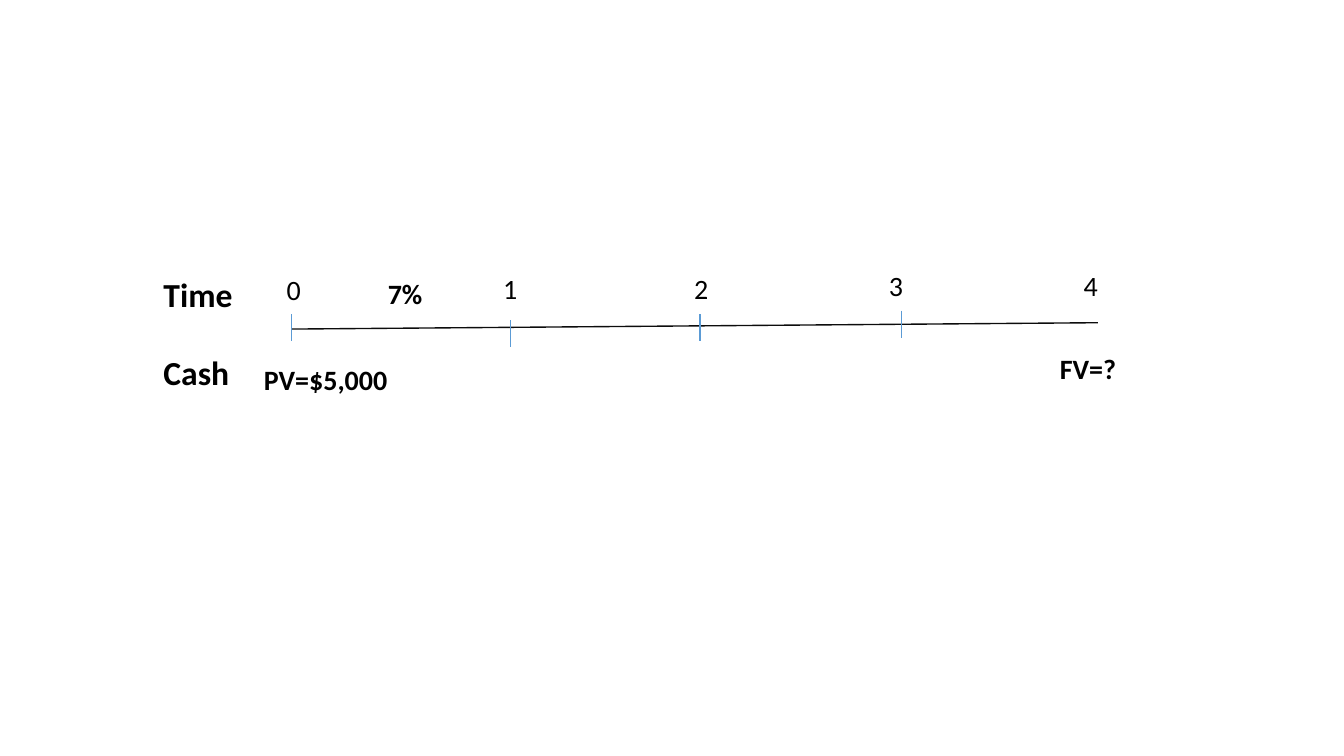
from typing import NamedTuple

from lxml.etree import SubElement
from pptx import Presentation
from pptx.dml.color import RGBColor
from pptx.enum.shapes import MSO_CONNECTOR as Connector
from pptx.enum.text import MSO_AUTO_SIZE as AutoSize
from pptx.oxml.ns import qn
from pptx.slide import Slide
from pptx.util import Cm, Pt

FONT = "Calibri"
BLACK = "000000"
AXIS_COLOR = "0C0C0C"
TICK_COLOR = "5B9BD5"
TICK_LENGTH = 0.51


class Label(NamedTuple):
    text: str
    left: float
    top: float
    width: float
    size: int = 15
    bold: bool = False


class Tick(NamedTuple):
    x: float
    top: float


LABELS = [
    Label("Time", 2.9, 5.08, 3.63, size=18, bold=True),
    Label("Cash", 2.9, 6.55, 3.63, size=18, bold=True),
    Label("0", 5.23, 5.05, 1.04),
    Label("1", 9.32, 5.03, 3.18),
    Label("2", 12.93, 5.03, 3.18),
    Label("3", 16.61, 4.98, 3.18),
    Label("4", 20.29, 4.98, 3.18),
    Label("7%", 7.14, 5.13, 1.3, bold=True),
    Label("PV=$5,000", 4.8, 6.76, 3.63, bold=True),
    Label("FV=?", 19.84, 6.55, 3.63, bold=True),
]

TICKS = [Tick(5.51, 5.94), Tick(9.65, 6.05), Tick(13.23, 5.94), Tick(17.04, 5.87)]


def color(value: str) -> RGBColor:
    return RGBColor.from_string(value)


def add_text(slide: Slide, text: str, *, left: float, top: float, width: float,
             size: int, bold: bool) -> None:
    height = 0.97 if size == 18 else 0.84
    shape = slide.shapes.add_textbox(Cm(left), Cm(top), Cm(width), Cm(height))
    frame = shape.text_frame
    frame.word_wrap = True
    frame.auto_size = AutoSize.SHAPE_TO_FIT_TEXT
    frame.margin_left = frame.margin_right = Cm(0.19)
    frame.margin_top = frame.margin_bottom = Cm(0.1)
    run = frame.paragraphs[0].add_run()
    run.text = text
    run.font.name = FONT
    run.font.size = Pt(size)
    run.font.bold = bold
    run.font.color.rgb = color(BLACK)


def add_line(slide: Slide, x1: float, y1: float, x2: float, y2: float, stroke: str) -> None:
    connector = slide.shapes.add_connector(Connector.STRAIGHT, Cm(x1), Cm(y1), Cm(x2), Cm(y2))
    connector.line.color.rgb = color(stroke)
    connector.line.width = Pt(0.75)
    SubElement(connector._element.spPr, qn("a:effectLst"))


def main() -> None:
    presentation = Presentation()
    presentation.slide_width = Cm(25.4)
    presentation.slide_height = Cm(14.29)
    slide = presentation.slides.add_slide(presentation.slide_layouts[6])

    add_line(slide, 5.51, 6.22, 20.75, 6.1, AXIS_COLOR)
    for tick in TICKS:
        add_line(slide, tick.x, tick.top, tick.x, tick.top + TICK_LENGTH, TICK_COLOR)
    for label in LABELS:
        add_text(slide, **label._asdict())

    presentation.save("out.pptx")


if __name__ == "__main__":
    main()
